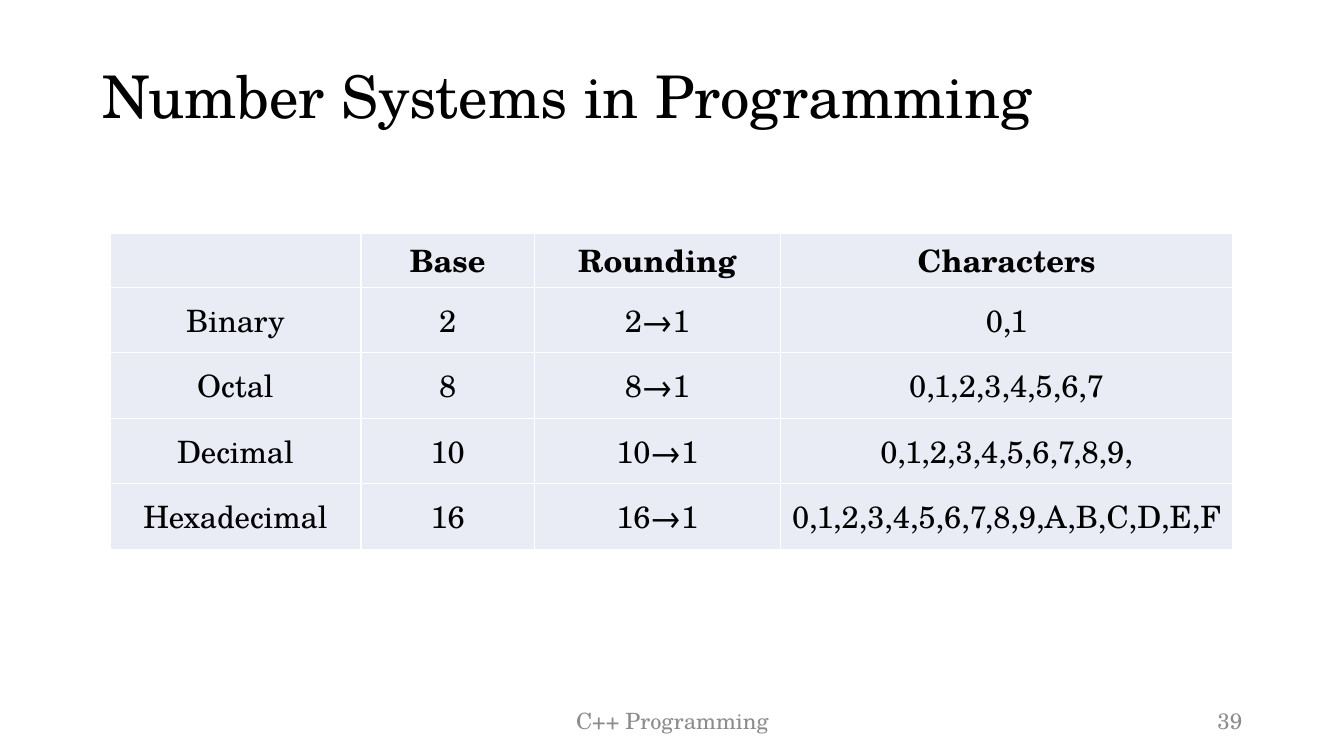
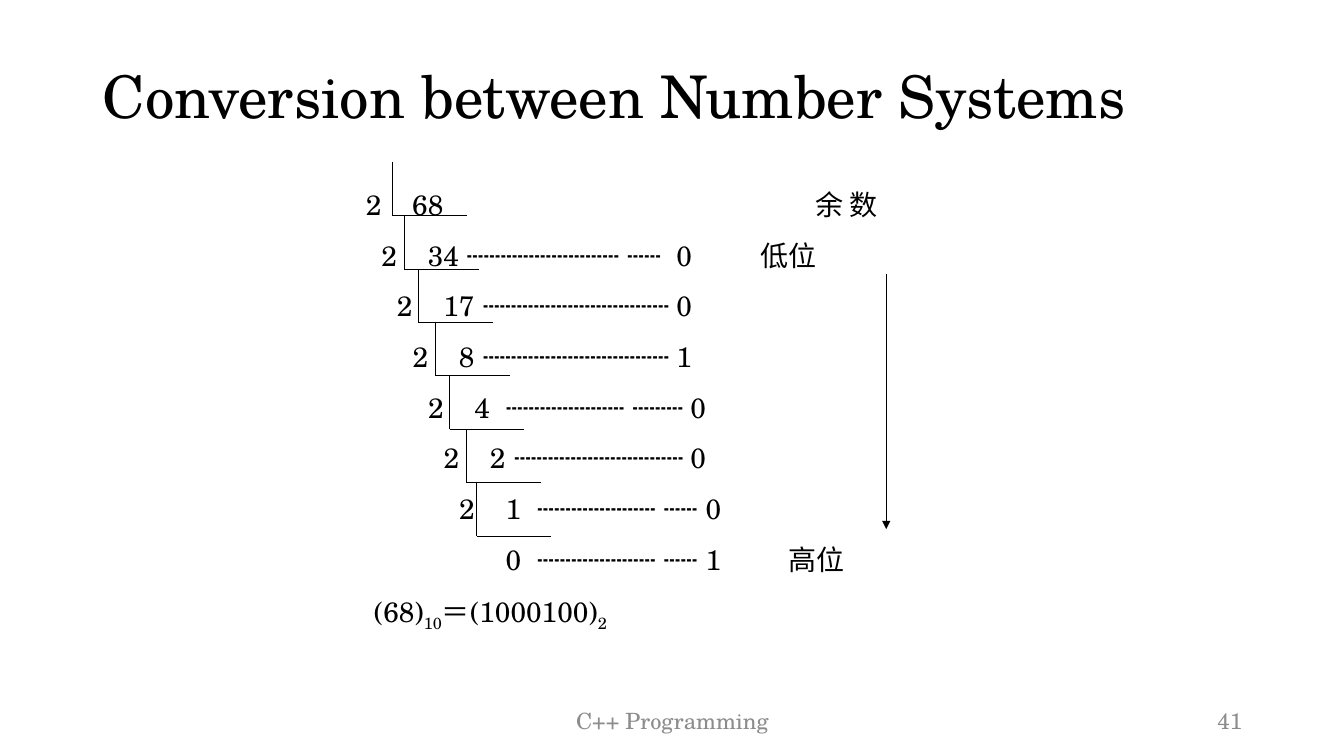
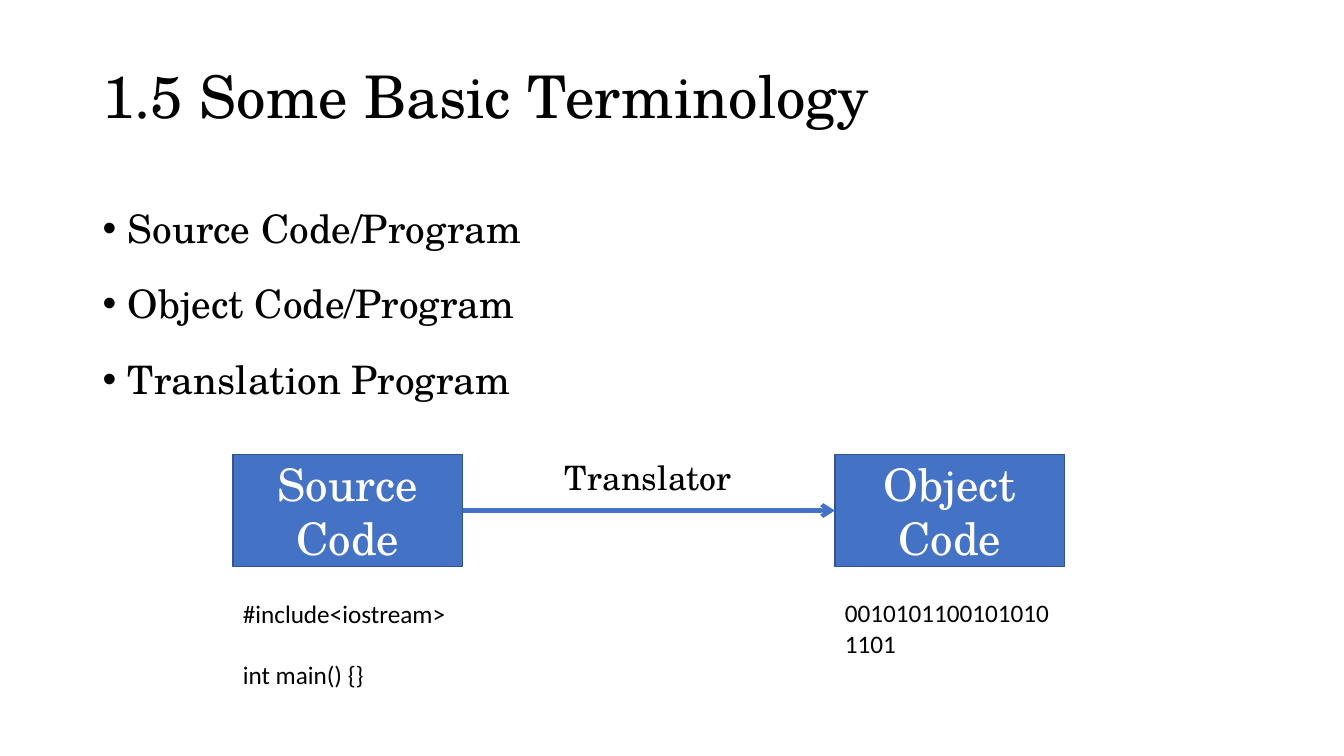
import pptx
import pptx.dml.color
import pptx.enum.shapes
import pptx.enum.text
import pptx.oxml
import pptx.oxml.ns
import pptx.util

Inches = pptx.util.Inches
Pt = pptx.util.Pt
ALIGN = pptx.enum.text.PP_ALIGN
ANCHOR = pptx.enum.text.MSO_ANCHOR
qn = pptx.oxml.ns.qn
NAMESPACE = pptx.oxml.ns.nsdecls("a")


def color(value):
    return pptx.dml.color.RGBColor.from_string(value)


def apply(target, values):
    for name, value in values.items():
        setattr(target, name, value)


def add_xml(parent, markup):
    tag, rest = markup.split(" ", 1)
    parent.append(pptx.oxml.parse_xml(f"<{tag} {NAMESPACE} {rest}"))


class Deck:
    FONT = "TeX Gyre Schola"
    BLACK = "000000"
    WHITE = "FFFFFF"
    GRAY = "8C8C8C"
    BLUE = "4472C4"
    BLUE_EDGE = "325491"
    CELL = "E9EBF5"

    def __init__(self):
        self.presentation = pptx.Presentation()
        self.presentation.slide_width = Inches(13.33)
        self.presentation.slide_height = Inches(7.5)
        self.slide = None

    def new_slide(self, title, number=None):
        layout = self.presentation.slide_layouts[6]
        self.slide = self.presentation.slides.add_slide(layout)
        self.text((0.92, 0.26, 11.5, 1.45), [title], 42, anchor=ANCHOR.MIDDLE,
                  layout={"line_spacing": 0.9})
        if number:
            for left, width, text, alignment in (
                (4.42, 4.5, "C++ Programming", ALIGN.CENTER),
                (9.42, 3, number, ALIGN.RIGHT),
            ):
                self.text((left, 6.95, width, 0.4), [text], 16, self.GRAY,
                          anchor=ANCHOR.MIDDLE, layout={"alignment": alignment})

    def add_runs(self, paragraph, content, size, ink, font=FONT, bold=False):
        runs = [(content, 0)] if isinstance(content, str) else content
        for text, baseline in runs:
            run = paragraph.add_run()
            run.text = text
            apply(run.font, {"name": font, "size": Pt(size), "bold": bold})
            run.font.color.rgb = color(ink)
            if baseline:
                run._r.get_or_add_rPr().set("baseline", str(baseline * 1000))

    def fill_frame(self, frame, paragraphs, size, ink, font, anchor, layout):
        apply(frame, {"word_wrap": True, "vertical_anchor": anchor})
        for index, content in enumerate(paragraphs):
            paragraph = frame.add_paragraph() if index else frame.paragraphs[0]
            apply(paragraph, layout)
            if not index:
                paragraph.space_before = Pt(0)
            self.add_runs(paragraph, content, size, ink, font)

    def text(self, box, paragraphs, size, ink=BLACK, font=FONT,
             anchor=ANCHOR.TOP, layout={}):
        shape = self.slide.shapes.add_textbox(*map(Inches, box))
        self.fill_frame(shape.text_frame, paragraphs, size, ink, font, anchor, layout)
        return shape.text_frame.paragraphs

    def bullets(self, box, items, size):
        layout = {"line_spacing": 1.25, "space_before": Pt(6), "space_after": Pt(6)}
        for paragraph in self.text(box, items, size, layout=layout):
            properties = paragraph._p.get_or_add_pPr()
            properties.set("marL", str(Inches(0.25)))
            properties.set("indent", str(-Inches(0.25)))
            add_xml(properties, 'a:buFont typeface="Arial"/>')
            add_xml(properties, 'a:buChar char="•"/>')

    def tabbed(self, box, rows, size, layout):
        paragraphs = self.text(box, [content for content, _ in rows], size, layout=layout)
        for paragraph, (_, stops) in zip(paragraphs, rows):
            tabs = "".join(f'<a:tab pos="{Inches(stop)}" algn="l"/>' for stop in stops)
            add_xml(paragraph._p.get_or_add_pPr(), f"a:tabLst >{tabs}</a:tabLst>")

    def rectangle(self, box, paragraphs, size):
        kind = pptx.enum.shapes.MSO_SHAPE.RECTANGLE
        shape = self.slide.shapes.add_shape(kind, *map(Inches, box))
        shape.shadow.inherit = False
        shape.fill.solid()
        shape.fill.fore_color.rgb = color(self.BLUE)
        shape.line.color.rgb = color(self.BLUE_EDGE)
        shape.line.width = Pt(1)
        self.fill_frame(shape.text_frame, paragraphs, size, self.WHITE, self.FONT,
                        ANCHOR.MIDDLE, {"alignment": ALIGN.CENTER})
        return shape

    def line(self, start, end, width, ink=BLACK, head=None):
        kind = pptx.enum.shapes.MSO_CONNECTOR.STRAIGHT
        connector = self.slide.shapes.add_connector(kind, *map(Inches, (*start, *end)))
        connector.line.color.rgb = color(ink)
        connector.line.width = Pt(width)
        properties = connector._element.spPr
        if head:
            add_xml(properties.find(qn("a:ln")), f'a:tailEnd type="{head}"/>')
        add_xml(properties, "a:effectLst />")
        return connector

    def table(self, left, top, widths, heights, rows, size):
        box = map(Inches, (left, top, sum(widths), sum(heights)))
        table = self.slide.shapes.add_table(len(heights), len(widths), *box).table
        for column, width in zip(table.columns, widths):
            column.width = Inches(width)
        for row, height in zip(table.rows, heights):
            row.height = Inches(height)
        for row_index, row in enumerate(rows):
            for column_index, text in enumerate(row):
                cell = table.cell(row_index, column_index)
                apply(cell, {"margin_left": Inches(0.07), "margin_right": Inches(0.07),
                             "margin_top": 0, "margin_bottom": 0,
                             "vertical_anchor": ANCHOR.MIDDLE})
                self.borders(cell)
                cell.fill.solid()
                cell.fill.fore_color.rgb = color(self.CELL)
                paragraph = cell.text_frame.paragraphs[0]
                paragraph.alignment = ALIGN.CENTER
                if text:
                    self.add_runs(paragraph, text, size, self.BLACK, bold=row_index == 0)

    def borders(self, cell):
        properties = cell._tc.get_or_add_tcPr()
        for side in ("lnL", "lnR", "lnT", "lnB"):
            add_xml(properties, f'a:{side} w="{Pt(1)}"><a:solidFill>'
                    f'<a:srgbClr val="{self.WHITE}"/></a:solidFill></a:{side}>')


def number_systems(deck):
    deck.new_slide("Number Systems in Programming", "39")
    rows = [
        ("", "Base", "Rounding", "Characters"),
        ("Binary", "2", "2→1", "0,1"),
        ("Octal", "8", "8→1", "0,1,2,3,4,5,6,7"),
        ("Decimal", "10", "10→1", "0,1,2,3,4,5,6,7,8,9,"),
        ("Hexadecimal", "16", "16→1", "0,1,2,3,4,5,6,7,8,9,A,B,C,D,E,F"),
    ]
    deck.table(1.09, 2.32, [2.49, 1.72, 2.44, 4.49], [0.53] + [0.65] * 4, rows, 22)


def conversion(deck):
    deck.new_slide("Conversion between Number Systems", "41")
    divisions = [
        ("2\t68\t余 数", [4.97]),
        ("2\t34\t┄┄┄┄┄┄┄┄┄ ┄┄\t0\t低位", [1.51, 3.59, 4.42]),
        ("2\t17\t┄┄┄┄┄┄┄┄┄┄┄\t0", [1.67, 3.59]),
        ("2\t8\t┄┄┄┄┄┄┄┄┄┄┄\t1", [1.67, 3.59]),
        ("2\t4\t┄┄┄┄┄┄┄ ┄┄┄\t0", [1.9, 3.73]),
        ("2\t2\t┄┄┄┄┄┄┄┄┄┄\t0", [1.98, 3.73]),
        ("2\t1\t┄┄┄┄┄┄┄ ┄┄\t0", [2.21, 3.88]),
    ]
    rows = []
    for index, (content, stops) in enumerate(divisions):
        divisor = 0.51 + index * 10.8 / 70
        quotient = divisor + 0.46
        rows.append(("\t" + content, [divisor, quotient] + stops))
    rows.append(("\t0\t┄┄┄┄┄┄┄ ┄┄\t1\t高位", [quotient, 2.21, 3.88, 4.7]))
    result = [("\t(68)", 0), ("10", -25), ("＝(1000100)", 0), ("2", -25)]
    rows.append((result, [0.59]))
    deck.tabbed((3.02, 1.71, 8.92, 5.54), rows, 20,
                {"line_spacing": 1.3, "space_before": Pt(5)})
    deck.line((8.79, 2.72), (8.79, 5.25), 1, head="triangle")
    step = 0.53
    for index, left in enumerate([3.89, 4.01, 4.15, 4.32, 4.46, 4.63, 4.73]):
        top = 1.61 + index * step
        corner = (left, top + step)
        deck.line((left, top), corner, 0.75)
        deck.line(corner, (left + 0.74, top + step), 0.75)


def terminology(deck):
    deck.new_slide("1.5 Some Basic Terminology")
    deck.bullets((0.92, 1.86, 11.5, 4.76),
                 ["Source Code/Program", "Object Code/Program", "Translation Program"], 28)
    source_left, object_left, width = 2.31, 8.28, 2.28
    source, target = [
        deck.rectangle((left, 4.51, width, 1.11), [word, "Code"], 32)
        for left, word in ((source_left, "Source"), (object_left, "Object"))
    ]
    arrow = deck.line((source_left + width, 5.07), (object_left, 5.07), 3, deck.BLUE, "arrow")
    arrow.begin_connect(source, 3)
    arrow.end_connect(target, 1)
    deck.text((5.2, 4.48, 2.46, 0.5), ["Translator"], 24,
              layout={"alignment": ALIGN.CENTER})
    deck.text((source_left, 5.89, width, 1.01), ["#include<iostream>", "int main() {}"],
              18, font="Calibri", layout={"space_before": Pt(22)})
    deck.text((object_left, 5.88, width, 0.71), ["00101011001010101101"],
              18, font="Calibri")


def main():
    deck = Deck()
    number_systems(deck)
    conversion(deck)
    terminology(deck)
    deck.presentation.save("out.pptx")


if __name__ == "__main__":
    main()
